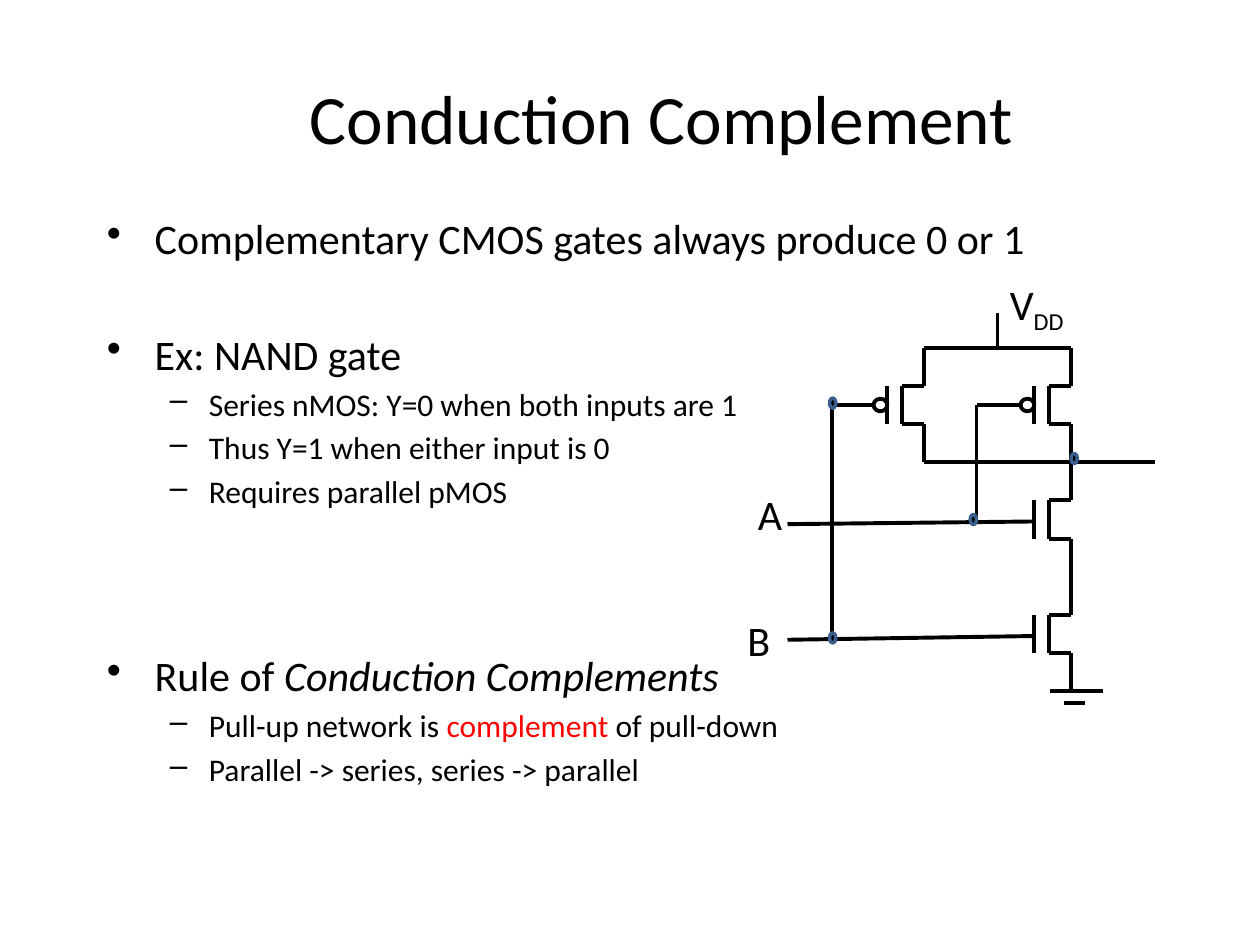
from dataclasses import dataclass
from typing import NamedTuple

from lxml.etree import SubElement
from pptx import Presentation
from pptx.dml.color import RGBColor
from pptx.enum.shapes import MSO_CONNECTOR as Line, MSO_SHAPE as Shape
from pptx.enum.text import MSO_ANCHOR, MSO_AUTO_SIZE as AutoSize, PP_ALIGN as Align
from pptx.oxml.ns import qn
from pptx.util import Inches, Length, Pt

BLACK = RGBColor(0x00, 0x00, 0x00)
WHITE = RGBColor(0xFF, 0xFF, 0xFF)
RED = RGBColor(0xFF, 0x00, 0x00)
DOT_BLUE = RGBColor(0x3A, 0x5F, 0x8C)
FONT = "Calibri"

# Circuit grid: column 0 is the left end of the inputs, row 0 the supply rail.
LEFT, TOP = 6.25, 2.76
COL, ROW = 1 / 12, 0.303
LEFT_DRAIN, RIGHT_DRAIN = 13, 27
PLATE, CHANNEL = -3.5, -2.1  # columns from the drain


class Run(NamedTuple):
    text: str
    italic: bool = False
    color: RGBColor = BLACK


class Level(NamedTuple):
    bullet: str
    size: int
    margin: float
    hanging: float


@dataclass
class Bullet:
    level: int
    runs: list[Run]
    before: float
    line_spacing: float = 1.0


@dataclass
class Transistor:
    drain: float
    row: float  # top of the channel
    input_col: float | None = None  # a pMOS has its own gate lead


LEVELS = [Level("•", 24, 0.38, 0.38), Level("–", 18, 0.81, 0.31)]
BULLETS = [
    Bullet(0, [Run("Complementary CMOS gates always produce 0 or 1")], 0, 0.93),
    Bullet(0, [Run("Ex: NAND gate")], 37),
    Bullet(1, [Run("Series nMOS: Y=0 when both inputs are 1")], 3.4),
    Bullet(1, [Run("Thus Y=1 when either input is 0")], 3.4),
    Bullet(1, [Run("Requires parallel pMOS")], 3.4),
    Bullet(0, [Run("Rule of "), Run("Conduction Complements", italic=True)], 80),
    Bullet(1, [Run("Pull-up network is "), Run("complement", color=RED),
               Run(" of pull-down")], 3.4),
    Bullet(1, [Run("Parallel -> series, series -> parallel")], 3.4),
]
TRANSISTORS = [
    Transistor(RIGHT_DRAIN, 4),
    Transistor(RIGHT_DRAIN, 7),
    Transistor(LEFT_DRAIN, 1, input_col=4),
    Transistor(RIGHT_DRAIN, 1, input_col=18),
]
WIRES = [  # column, row to column, row
    (LEFT_DRAIN, 0, RIGHT_DRAIN, 0),
    (20, 0, 20, -0.9),
    (LEFT_DRAIN, 3, 35, 3),
    (18, 4.6, 18, 1.5),
    (4.2, 7.6, 4.2, 1.5),
    (0, 4.62, 23.6, 4.55),
    (0, 7.65, 23.6, 7.55),
    (25, 9, 30, 9),
    (26.3, 9.3, 28.3, 9.3),
]
JUNCTIONS = [(4.3, 1.45), (4.3, 7.6), (17.7, 4.5), (27.3, 2.9)]
LABELS = [("A", "", -4, 3.53), ("B", "", -5, 6.83), ("V", "DD", 20, -1.98)]


def x(col: float) -> Length:
    return Inches(LEFT + col * COL)


def y(row: float) -> Length:
    return Inches(TOP + row * ROW)


def add_wire(shapes, col1: float, row1: float, col2: float, row2: float) -> None:
    wire = shapes.add_connector(Line.STRAIGHT, x(col1), y(row1), x(col2), y(row2))
    wire.line.color.rgb = BLACK
    wire.line.width = Pt(2.25)
    SubElement(wire._element.spPr, qn("a:effectLst"))


def add_ellipse(shapes, col: float, row: float, width: float, height: float,
                fill: RGBColor, line: RGBColor, weight: float) -> None:
    """Centre an ellipse, sized in inches, on a grid point."""
    w, h = Inches(width), Inches(height)
    sp = shapes.add_shape(Shape.OVAL, x(col) - w // 2, y(row) - h // 2, w, h)
    sp.shadow.inherit = False
    sp.fill.solid()
    sp.fill.fore_color.rgb = fill
    sp.line.color.rgb = line
    sp.line.width = Pt(weight)


def add_transistor(shapes, t: Transistor) -> None:
    group = shapes.add_group_shape().shapes
    plate, channel = t.drain + PLATE, t.drain + CHANNEL
    top, bottom = t.row, t.row + 1
    for col in (plate, channel):
        add_wire(group, col, top, col, bottom)
    for row in (top, bottom):
        add_wire(group, channel, row, t.drain, row)
    for row in (top - 1, bottom):
        add_wire(group, t.drain, row, t.drain, row + 1)
    if t.input_col is not None:
        middle = t.row + 0.5
        add_wire(group, t.input_col, middle, plate - 1.3, middle)
        add_ellipse(group, plate - 0.65, middle, 0.11, 0.1, WHITE, BLACK, 2.25)


def add_label(shapes, text: str, subscript: str, col: float, row: float) -> None:
    tf = shapes.add_textbox(x(col), y(row), Inches(0.92), Inches(0.5)).text_frame
    tf.word_wrap = True
    p = tf.paragraphs[0]
    p.font.name, p.font.size, p.font.color.rgb = FONT, Pt(24), BLACK
    p.add_run().text = text
    if subscript:
        r = p.add_run()
        r.text = subscript
        r.font._element.set("baseline", "-25000")


def add_bullet(p, item: Bullet) -> None:
    level = LEVELS[item.level]
    p.level = item.level
    p.space_before = Pt(item.before)
    p.line_spacing = item.line_spacing
    p.font.name, p.font.size = FONT, Pt(level.size)
    pPr = p._p.get_or_add_pPr()
    pPr.set("marL", str(Inches(level.margin)))
    pPr.set("indent", str(-Inches(level.hanging)))
    bullet = pPr.makeelement(qn("a:buChar"), {"char": level.bullet})
    pPr.insert_element_before(bullet, "a:tabLst", "a:defRPr", "a:extLst")
    for run in item.runs:
        r = p.add_run()
        r.text = run.text
        r.font.color.rgb = run.color
        if run.italic:
            r.font.italic = True


def set_title(title, text: str) -> None:
    title.left, title.top = Inches(1), Inches(0.57)
    title.width, title.height = Inches(8.5), Inches(0.71)
    tf = title.text_frame
    tf.text = text
    tf.auto_size = AutoSize.NONE
    tf.vertical_anchor = MSO_ANCHOR.MIDDLE
    p = tf.paragraphs[0]
    p.alignment = Align.CENTER
    p.font.name, p.font.size, p.font.color.rgb = FONT, Pt(39.6), BLACK


def main() -> None:
    prs = Presentation()
    prs.slide_width, prs.slide_height = Inches(10), Inches(7.5)
    shapes = prs.slides.add_slide(prs.slide_layouts[5]).shapes
    set_title(shapes.title, "Conduction Complement")

    body = shapes.add_textbox(Inches(0.75), Inches(1.67), Inches(8.5), Inches(5.28))
    tf = body.text_frame
    tf.word_wrap = True
    for i, item in enumerate(BULLETS):
        add_bullet(tf.add_paragraph() if i else tf.paragraphs[0], item)

    for transistor in TRANSISTORS:
        add_transistor(shapes, transistor)
    for wire in WIRES:
        add_wire(shapes, *wire)
    for col, row in JUNCTIONS:
        add_ellipse(shapes, col, row, 0.05, 0.08, BLACK, DOT_BLUE, 2)
    for label in LABELS:
        add_label(shapes, *label)
    prs.save("out.pptx")


if __name__ == "__main__":
    main()
